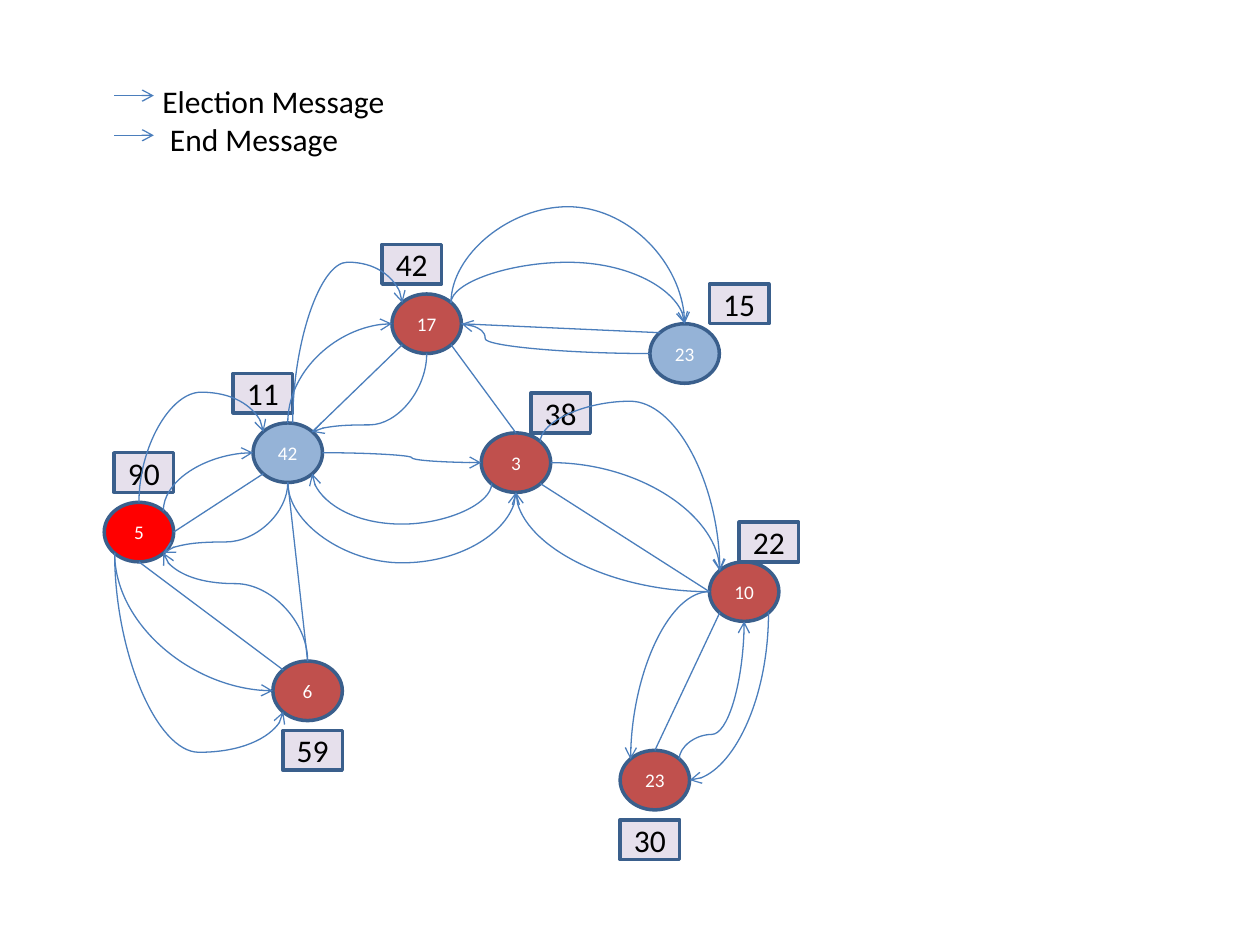
import dataclasses
import typing

import pptx
import pptx.dml.color
import pptx.enum.shapes
import pptx.enum.text
import pptx.oxml.ns
import pptx.util
from lxml import etree

KIND = pptx.enum.shapes.MSO_SHAPE
LINK = pptx.enum.shapes.MSO_CONNECTOR
ALIGN = pptx.enum.text.PP_ALIGN
qn = pptx.oxml.ns.qn

WIDE, HIGH = 10, 7.5
UNIT = WIDE / 127          # grid step, both ways
LEFT, TOP = 0.04, 0.05     # grid origin
NODE = (7, 6)              # columns, rows
TAG = (6, 4)


@dataclasses.dataclass(frozen=True)
class Theme:
    """Colours, type and line sizes."""
    font: str = "Calibri"
    small: int = 11
    large: int = 18
    edge: str = "3A5F8C"
    wire: str = "4B7EBC"
    red: str = "C0504D"
    blue: str = "95B3D7"
    root: str = "FF0000"
    tag: str = "E6E0EC"
    light: str = "FFFFFF"
    dark: str = "000000"
    thick: float = 2
    thin: float = 0.75


LOOK = Theme()


class Box(typing.NamedTuple):
    """A labelled shape at a grid cell."""
    text: str
    col: float
    row: float
    fill: str = LOOK.tag


class Curve(typing.NamedTuple):
    """A curved arrow between two node sites; bend is a grid column or row."""
    start: str
    end: str
    bend: typing.Optional[float] = None
    nudge: float = 0


NODES = {
    "a": Box("17", 39, 29, LOOK.red),
    "b": Box("42", 25, 42, LOOK.blue),
    "c": Box("5", 10, 50, LOOK.root),
    "d": Box("6", 27, 66, LOOK.red),
    "e": Box("23", 65, 32, LOOK.blue),
    "f": Box("3", 48, 43, LOOK.red),
    "g": Box("10", 71, 56, LOOK.red),
    "h": Box("23", 62, 75, LOOK.red),
}
TAGS = [
    Box("42", 38, 24), Box("11", 23, 37), Box("59", 28, 73), Box("90", 11, 45),
    Box("15", 71, 28), Box("22", 74, 52), Box("38", 53, 39), Box("30", 62, 82),
]
SITES = {
    "N": (0.5, 0), "NW": (0.15, 0.15), "W": (0, 0.5), "SW": (0.15, 0.85),
    "S": (0.5, 1), "SE": (0.85, 0.85), "E": (1, 0.5), "NE": (0.85, 0.15),
}
EDGES = [
    ("c E", "b SW"), ("d NW", "c S"), ("b NE", "a SW"), ("a SE", "f N"),
    ("a E", "e NW"), ("h N", "g SW"), ("f SE", "g W"), ("d N", "b S"),
]
CURVES = [
    Curve("c NE", "b W"), Curve("b N", "a W"), Curve("c SW", "d W"),
    Curve("a NE", "e N", 25.8), Curve("f E", "g NW"), Curve("b E", "f W", 41),
    Curve("g W", "h NW"), Curve("g W", "f S"), Curve("h NE", "g S", 73.4),
    Curve("b S", "c SE", 54), Curve("e W", "a E", 48.4),
    Curve("a S", "b NE", 42.2), Curve("d N", "c SE", 58.2),
    Curve("f SW", "b SE", 52.2), Curve("c N", "b NW", 38.9),
    Curve("c SW", "d SW", 75.2), Curve("b N", "a NW", 25.8, 0.5),
    Curve("b S", "f S", 56.1), Curve("a NE", "e N", 20.2),
    Curve("f NE", "g NW", 39.8), Curve("g SE", "h E"),
]
LEGEND = [("Election Message", 0.44, 9), ("End Message", 0.5, 13)]

Point = tuple[float, float]


def size(cells: float) -> int:
    """Turn grid cells into a length."""
    return pptx.util.Inches(cells * UNIT)


def spot(col: float, row: float) -> Point:
    """Turn a grid cell into a place on the slide."""
    return size(col) + pptx.util.Inches(LEFT), size(row) + pptx.util.Inches(TOP)


def site(name: str) -> Point:
    """Find the grid place of a node's site, such as 'a NE'."""
    key, side = name.split()
    node, (x, y) = NODES[key], SITES[side]
    return node.col + x * NODE[0], node.row + y * NODE[1]


def tint(text: str) -> pptx.dml.color.RGBColor:
    """Read a hex colour."""
    return pptx.dml.color.RGBColor.from_string(text)


def write(para, text: str, *, pts: int, color: str, align=ALIGN.LEFT,
          indent: float = 0) -> None:
    """Put formatted text in a paragraph."""
    para.alignment = align
    if indent:
        props = para._p.get_or_add_pPr()
        props.set("marL", str(pptx.util.Inches(indent)))
        props.set("indent", "0")
    run = para.add_run()
    run.text = text
    run.font.name, run.font.size = LOOK.font, pptx.util.Pt(pts)
    run.font.color.rgb = tint(color)


def block(slide, box: Box, kind, cells: tuple[int, int], pts: int,
          color: str) -> None:
    """Draw a filled, outlined shape with centred text."""
    shape = slide.shapes.add_shape(
        kind, *spot(box.col, box.row), *map(size, cells))
    shape.shadow.inherit = False
    shape.fill.solid()
    shape.fill.fore_color.rgb = tint(box.fill)
    shape.line.color.rgb = tint(LOOK.edge)
    shape.line.width = pptx.util.Pt(LOOK.thick)
    frame = shape.text_frame
    frame.vertical_anchor = pptx.enum.text.MSO_ANCHOR.MIDDLE
    write(frame.paragraphs[0], box.text, pts=pts, color=color,
          align=ALIGN.CENTER)


def wire(slide, start: Point, end: Point, kind=LINK.STRAIGHT,
         arrow: bool = False):
    """Draw a thin connector between two grid places."""
    line = slide.shapes.add_connector(kind, *spot(*start), *spot(*end))
    line.line.color.rgb = tint(LOOK.wire)
    line.line.width = pptx.util.Pt(LOOK.thin)
    props = line._element.spPr
    if arrow:
        etree.SubElement(props.find(qn("a:ln")), qn("a:tailEnd"), type="arrow")
    etree.SubElement(props, qn("a:effectLst"))
    return line


def arc(slide, curve: Curve) -> None:
    """Draw a curved arrow, turned so that it leaves its site the right way."""
    (x, y), end = site(curve.start), site(curve.end)
    x += curve.nudge
    dx, dy = end[0] - x, end[1] - y
    line = wire(slide, (x, y), end, LINK.CURVE, True)
    upright = curve.start.split()[1] not in ("E", "W")
    if upright:
        mid = line.left + line.width // 2, line.top + line.height // 2
        line.width, line.height = line.height, line.width
        line.left = mid[0] - line.width // 2
        line.top = mid[1] - line.height // 2
        turn, flips = (270 if dx * dy > 0 else 90), (dx > 0, dy < 0)
    else:
        turn, flips = (180 if dx < 0 else 0), (False, dx * dy < 0)
    props = line._element.spPr
    form = props.find(qn("a:xfrm"))
    form.set("rot", str(turn * 60000))
    for name, flip in zip(("flipH", "flipV"), flips):
        form.set(name, str(int(flip)))
    shape = props.find(qn("a:prstGeom"))
    if curve.bend is None:
        shape.set("prst", "curvedConnector2")
    else:
        share = (curve.bend - y) / dy if upright else (curve.bend - x) / dx
        guides = shape.find(qn("a:avLst"))
        if guides is None:
            guides = etree.SubElement(shape, qn("a:avLst"))
        etree.SubElement(guides, qn("a:gd"), name="adj1",
                         fmla=f"val {round(share * 100000)}")


def legend(slide) -> None:
    """Draw the two message kinds with their arrows."""
    area = slide.shapes.add_textbox(
        *map(pptx.util.Inches, (0.75, 0.6, 3.15, 1.01)))
    frame = area.text_frame
    frame.word_wrap = True
    for i, (text, indent, row) in enumerate(LEGEND):
        para = frame.add_paragraph() if i else frame.paragraphs[0]
        write(para, text, pts=LOOK.large, color=LOOK.dark, indent=indent)
        wire(slide, (11, row), (15, row), arrow=True)


def main() -> None:
    """Build and save the slide."""
    deck = pptx.Presentation()
    deck.slide_width = pptx.util.Inches(WIDE)
    deck.slide_height = pptx.util.Inches(HIGH)
    slide = deck.slides.add_slide(deck.slide_layouts[6])
    for node in NODES.values():
        block(slide, node, KIND.FLOWCHART_CONNECTOR, NODE, LOOK.small,
              LOOK.light)
    for start, end in EDGES:
        wire(slide, site(start), site(end))
    for tag in TAGS:
        block(slide, tag, KIND.RECTANGLE, TAG, LOOK.large, LOOK.dark)
    for curve in CURVES:
        arc(slide, curve)
    legend(slide)
    deck.save("out.pptx")


main()
